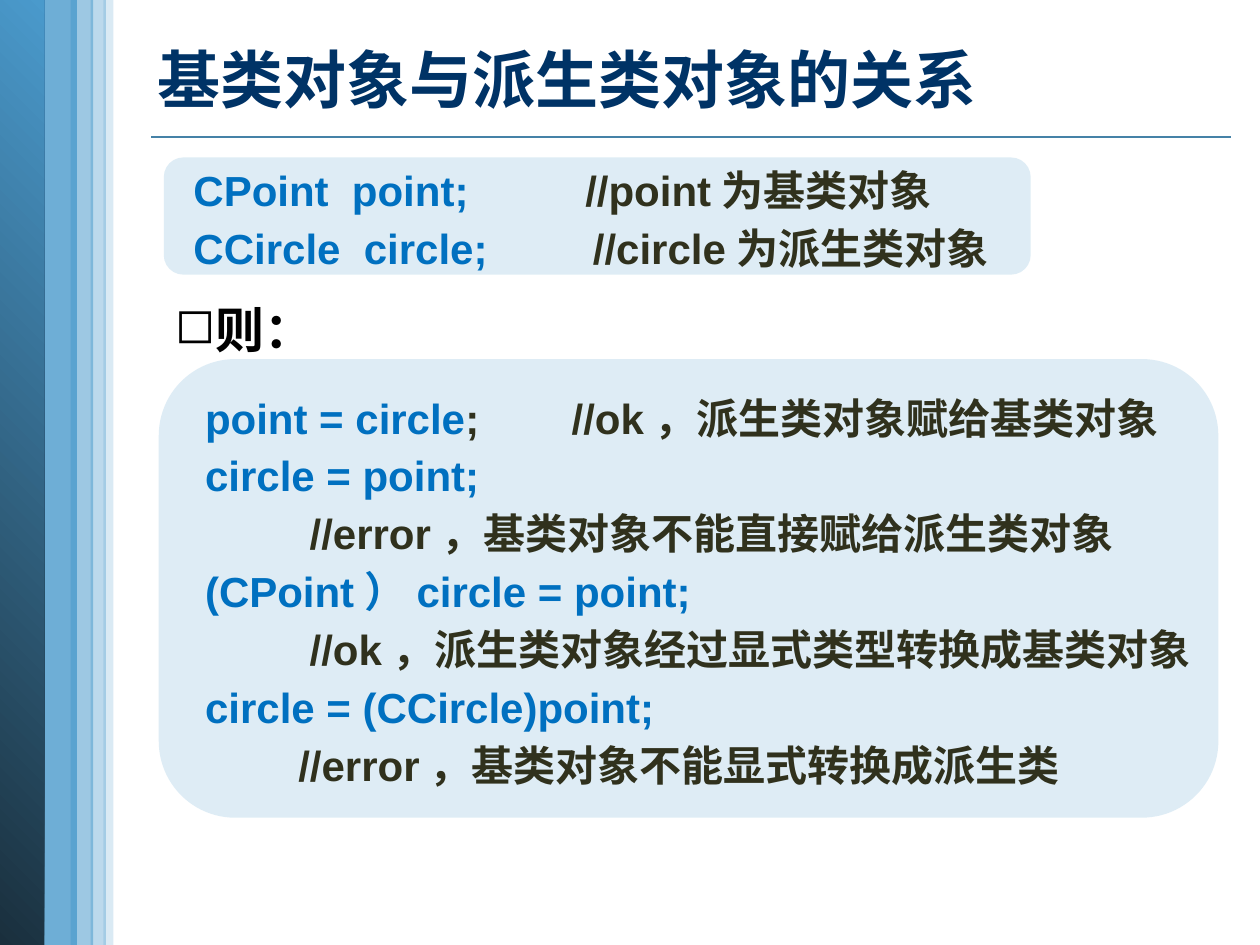
from dataclasses import dataclass

from lxml import etree
from pptx import Presentation
from pptx import util as u
from pptx.dml.color import RGBColor
from pptx.enum import shapes, text
from pptx.oxml import ns


@dataclass(frozen=True)
class Theme:
    bar: str = "4A9ACC"
    deep: str = "1A2F3D"
    rule: str = "4582A7"
    panel: str = "92C2E0"
    title: str = "003366"
    black: str = "000000"
    code: str = "0070C0"
    note: str = "30311D"
    font: str = "Arial"
    han: str = "Noto Sans CJK SC"
    big: int = 36
    mid: int = 28
    small: int = 24


def sub(node, tag, **atts):
    return etree.SubElement(node, ns.qn(tag), atts)


class Deck:
    cols, rows = 100, 75

    def __init__(self, theme):
        self.theme = theme
        self.prs = Presentation()
        self.prs.slide_width, self.prs.slide_height = u.Inches(10), u.Inches(7.5)
        self.slide = self.prs.slides.add_slide(self.prs.slide_layouts[6])

    def span(self, cols):
        return round(self.prs.slide_width * cols / self.cols)

    def place(self, left, top, wide, high):
        unit = self.prs.slide_height / self.rows
        return self.span(left), round(top * unit), self.span(wide), round(high * unit)

    def line(self, left, top, right):
        x, y, end, _ = self.place(left, top, right, 0)
        line = self.slide.shapes.add_connector(
            shapes.MSO_CONNECTOR.STRAIGHT, x, y, end, y)
        line.line.color.rgb = RGBColor.from_string(self.theme.rule)
        line.line.width = u.Pt(1)
        sub(line._element.spPr, "a:effectLst")

    def block(self, area, color, alpha, kind=shapes.MSO_SHAPE.RECTANGLE):
        box = self.slide.shapes.add_shape(kind, *self.place(*area))
        box.shadow.inherit = False
        box.line.fill.background()
        box.fill.solid()
        box.fill.fore_color.rgb = RGBColor.from_string(color)
        tint = box._element.spPr.find(".//" + ns.qn("a:srgbClr"))
        sub(tint, "a:alpha", val=str(alpha * 1000))
        return box

    def fade(self, area):
        box = self.block(area, self.theme.bar, 100)
        box.fill.gradient()
        box.fill.gradient_angle = 45
        for stop, color in zip(box.fill.gradient_stops,
                               (self.theme.deep, self.theme.bar)):
            stop.color.rgb = RGBColor.from_string(color)

    def run(self, para, words, size, color, han):
        run = para.add_run()
        run.text = words
        font = run.font
        font.name, font.size, font.bold = self.theme.font, u.Pt(size), True
        font.color.rgb = RGBColor.from_string(color)
        sub(run._r.get_or_add_rPr(), "a:ea", typeface=han)

    def label(self, area, words, size, color, han, anchor):
        box = self.slide.shapes.add_textbox(*self.place(*area))
        frame = box.text_frame
        frame.word_wrap = True
        frame.vertical_anchor = anchor
        para = frame.paragraphs[0]
        self.run(para, words, size, color, han)
        return para

    def bullet(self, area, words):
        th = self.theme
        para = self.label(area, words, th.mid, th.black, th.font,
                          text.MSO_ANCHOR.TOP)
        para.line_spacing = 1.1
        props = para._p.get_or_add_pPr()
        props.set("marL", str(self.span(2.4)))
        props.set("indent", str(-self.span(2.4)))
        sub(props, "a:buChar", char="◻")

    def panel(self, area, lines):
        th = self.theme
        box = self.block(area, th.panel, 30, shapes.MSO_SHAPE.ROUNDED_RECTANGLE)
        frame = box.text_frame
        frame.word_wrap = True
        frame.margin_left, frame.margin_right = self.span(1.9), 0
        frame.vertical_anchor = text.MSO_ANCHOR.MIDDLE
        for i, (code, gap, note) in enumerate(lines):
            para = frame.add_paragraph() if i else frame.paragraphs[0]
            para.alignment = text.PP_ALIGN.LEFT
            para.line_spacing = 1.1
            para.space_before = u.Pt(1.4)
            props = para._p.get_or_add_pPr()
            for words, color in code:
                self.run(para, words, th.small, color, th.font)
            if note and code:
                tabs = sub(props, "a:tabLst")
                sub(tabs, "a:tab", pos=str(self.span(gap)), algn="l")
                note = "\t" + note
            elif note:
                props.set("marL", str(self.span(gap)))
                props.set("indent", "0")
            if note:
                self.run(para, note, th.small, th.note, th.font)


def main():
    th = Theme()
    deck = Deck(th)
    deck.line(12, 10.9, 97.7)
    deck.block((3, 0, 3.1, 75.3), th.bar, 80)
    deck.fade((-0.1, 0, 3.6, 75))
    for left, top, wide, high, alpha in (
            (8.2, -0.2, 0.8, 75.2, 20),
            (5.6, 0, 1.8, 75.1, 54),
            (7.2, 0, 1.2, 75.2, 37)):
        deck.block((left, top, wide, high), th.bar, alpha)
    deck.label((11.5, 0.7, 87, 11.1), "基类对象与派生类对象的关系",
               th.big, th.title, th.han, text.MSO_ANCHOR.MIDDLE)
    deck.bullet((12.9, 22.8, 82.1, 5.8), "则：")
    deck.panel((13, 12.5, 68.8, 9.3), (
        ([("CPoint  point;", th.code)], 31.1, "//point为基类对象"),
        ([("CCircle  circle;", th.code)], 31.7, "//circle为派生类对象")))
    deck.panel((12.6, 28.5, 84.1, 36.4), (
        ([("point = circle", th.code), (";", th.note)], 29.1,
         "//ok，派生类对象赋给基类对象"),
        ([("circle = point;", th.code)], 0, ""),
        ([], 8.3, "//error，基类对象不能直接赋给派生类对象"),
        ([("(CPoint）circle = point;", th.code)], 0, ""),
        ([], 8.3, "//ok，派生类对象经过显式类型转换成基类对象"),
        ([("circle = (CCircle)point;", th.code)], 0, ""),
        ([], 7.4, "//error，基类对象不能显式转换成派生类")))
    deck.prs.save("out.pptx")


if __name__ == "__main__":
    main()
